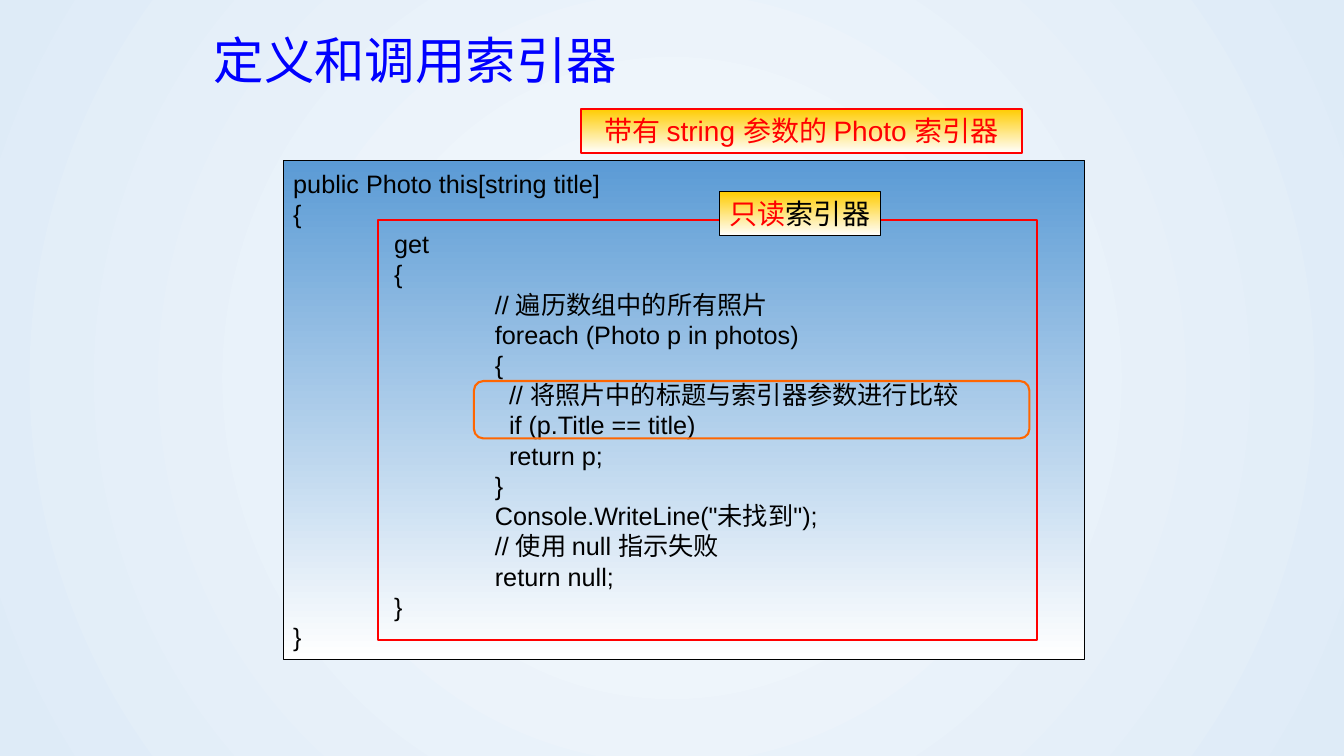
from dataclasses import dataclass

from lxml import etree
from pptx import Presentation
from pptx import util as u
from pptx.dml import color, fill
from pptx.enum import shapes, text
from pptx.oxml import ns

PX = 9144  # EMU per px, 100 px to the inch


@dataclass(frozen=True)
class Theme:
    blue: str = "0000FF"
    red: str = "FF0000"
    orange: str = "FF6600"
    black: str = "000000"
    code_fill: tuple[str, str] = ("5B9BD5", "FFFFFF")
    label_fill: tuple[str, str] = ("FFCC00", "FFFFFF")
    backdrop: tuple[str, str] = ("F7FAFD", "DEEBF7")
    sans: str = "Arial"
    mono: str = "Courier New"
    cjk: str = "Noto Sans CJK SC"
    title_size: int = 36
    label_size: int = 20
    code_size: int = 18


@dataclass(frozen=True)
class Run:
    words: str
    font: str
    colour: str


@dataclass(frozen=True)
class CodeLine:
    indent: int
    words: str


@dataclass(frozen=True)
class Box:
    left: int
    top: int
    width: int
    height: int
    line: str
    weight: float
    colours: tuple[str, str] | None = None
    kind: shapes.MSO_SHAPE = shapes.MSO_SHAPE.RECTANGLE


@dataclass(frozen=True)
class Label:
    box: Box
    align: text.PP_ALIGN
    runs: tuple[Run, ...]


T = Theme()
TAB, STEP = 100, 14

CODE_BOX = Box(281, 159, 795, 495, T.black, 0.75, T.code_fill)
CODE = (
    CodeLine(0, "public Photo this[string title]"),
    CodeLine(0, "{"),
    CodeLine(TAB, "get"),
    CodeLine(TAB, "{"),
    CodeLine(2 * TAB, "// 遍历数组中的所有照片"),
    CodeLine(2 * TAB, "foreach (Photo p in photos)"),
    CodeLine(2 * TAB, "{"),
    CodeLine(2 * TAB + STEP, "// 将照片中的标题与索引器参数进行比较"),
    CodeLine(2 * TAB + STEP, "if (p.Title == title)"),
    CodeLine(2 * TAB + STEP, "return p;"),
    CodeLine(2 * TAB, "}"),
    CodeLine(2 * TAB, 'Console.WriteLine("未找到");'),
    CodeLine(2 * TAB, "// 使用 null 指示失败"),
    CodeLine(2 * TAB, "return null;"),
    CodeLine(TAB, "}"),
    CodeLine(0, "}"),
)
PARAMETER_LABEL = Label(
    Box(576, 108, 438, 44, T.red, 1.5, T.label_fill), text.PP_ALIGN.CENTER,
    (Run("带有 ", T.cjk, T.red), Run("string ", T.sans, T.red), Run("参数的 ", T.cjk, T.red),
     Run("Photo ", T.sans, T.red), Run("索引器", T.cjk, T.red)))
READ_ONLY_LABEL = Label(
    Box(714, 190, 159, 44, T.black, 0.75, T.label_fill), text.PP_ALIGN.LEFT,
    (Run("只读", T.mono, T.red), Run("索引器", T.mono, T.black)))
ACCESSOR_FRAME = Box(375, 218, 654, 417, T.red, 1.5)
COMPARE_FRAME = Box(470, 378, 551, 57, T.orange, 1.5, kind=shapes.MSO_SHAPE.ROUNDED_RECTANGLE)


def rgb(value: str) -> color.RGBColor:
    return color.RGBColor.from_string(value)


def set_font(font: text, size: int, name: str, colour: str) -> None:
    """Set size, colour and the Latin and East Asian typefaces."""
    font.size, font.name = u.Pt(size), name
    font.color.rgb = rgb(colour)
    ea = etree.SubElement(font._element, ns.qn("a:ea"))
    ea.set("typeface", T.cjk)


def set_gradient(target: fill.FillFormat, colours: tuple[str, str]) -> None:
    """Blend two colours from top to bottom."""
    target.gradient()
    target.gradient_angle = 270
    for stop, position, colour in zip(target.gradient_stops, (0, 1), colours):
        stop.position = position
        stop.color.rgb = rgb(colour)


def set_background(s) -> None:
    """Fill the slide with a circular gradient from its centre."""
    set_gradient(s.background.fill, T.backdrop)
    lin = s._element.find(".//" + ns.qn("a:lin"))
    circle = etree.Element(ns.qn("a:path"), {"path": "circle"})
    etree.SubElement(circle, ns.qn("a:fillToRect"), dict.fromkeys("ltrb", "50000"))
    lin.getparent().replace(lin, circle)


def add_box(s, box: Box):
    sp = s.shapes.add_shape(box.kind, *(n * PX for n in (box.left, box.top, box.width, box.height)))
    sp.shadow.inherit = False
    sp.line.color.rgb = rgb(box.line)
    sp.line.width = u.Pt(box.weight)
    if box.colours:
        set_gradient(sp.fill, box.colours)
    else:
        sp.fill.background()
    return sp


def add_label(s, label: Label) -> None:
    tf = add_box(s, label.box).text_frame
    tf.word_wrap = False
    tf.auto_size = text.MSO_AUTO_SIZE.SHAPE_TO_FIT_TEXT
    tf.vertical_anchor = text.MSO_ANCHOR.TOP
    p = tf.paragraphs[0]
    p.alignment = label.align
    for run in label.runs:
        r = p.add_run()
        r.text = run.words
        set_font(r.font, T.label_size, run.font, run.colour)


def add_code(s, box: Box, lines: tuple[CodeLine, ...]) -> None:
    tf = add_box(s, box).text_frame
    tf.word_wrap = True
    tf.auto_size = text.MSO_AUTO_SIZE.SHAPE_TO_FIT_TEXT
    tf.vertical_anchor = text.MSO_ANCHOR.MIDDLE
    tf.text = "\n".join(line.words for line in lines)
    for p, line in zip(tf.paragraphs, lines):
        p.alignment = text.PP_ALIGN.LEFT
        set_font(p.font, T.code_size, T.sans, T.black)
        p._p.get_or_add_pPr().set("marL", str(line.indent * PX))


def set_title(s, words: str) -> None:
    sp = s.shapes.title
    sp.left, sp.top, sp.width, sp.height = (n * PX for n in (202, 0, 934, 125))
    tf = sp.text_frame
    tf.text = words
    tf.vertical_anchor = text.MSO_ANCHOR.MIDDLE
    p = tf.paragraphs[0]
    p.alignment, p.line_spacing = text.PP_ALIGN.LEFT, 0.9
    set_font(p.font, T.title_size, T.mono, T.blue)


def main() -> None:
    prs = Presentation()
    prs.slide_width, prs.slide_height = 1333 * PX, 750 * PX
    s = prs.slides.add_slide(prs.slide_layouts[5])
    set_background(s)
    set_title(s, "定义和调用索引器")
    add_code(s, CODE_BOX, CODE)
    add_label(s, PARAMETER_LABEL)
    add_box(s, ACCESSOR_FRAME)
    add_label(s, READ_ONLY_LABEL)
    add_box(s, COMPARE_FRAME)
    prs.save("out.pptx")


if __name__ == "__main__":
    main()
